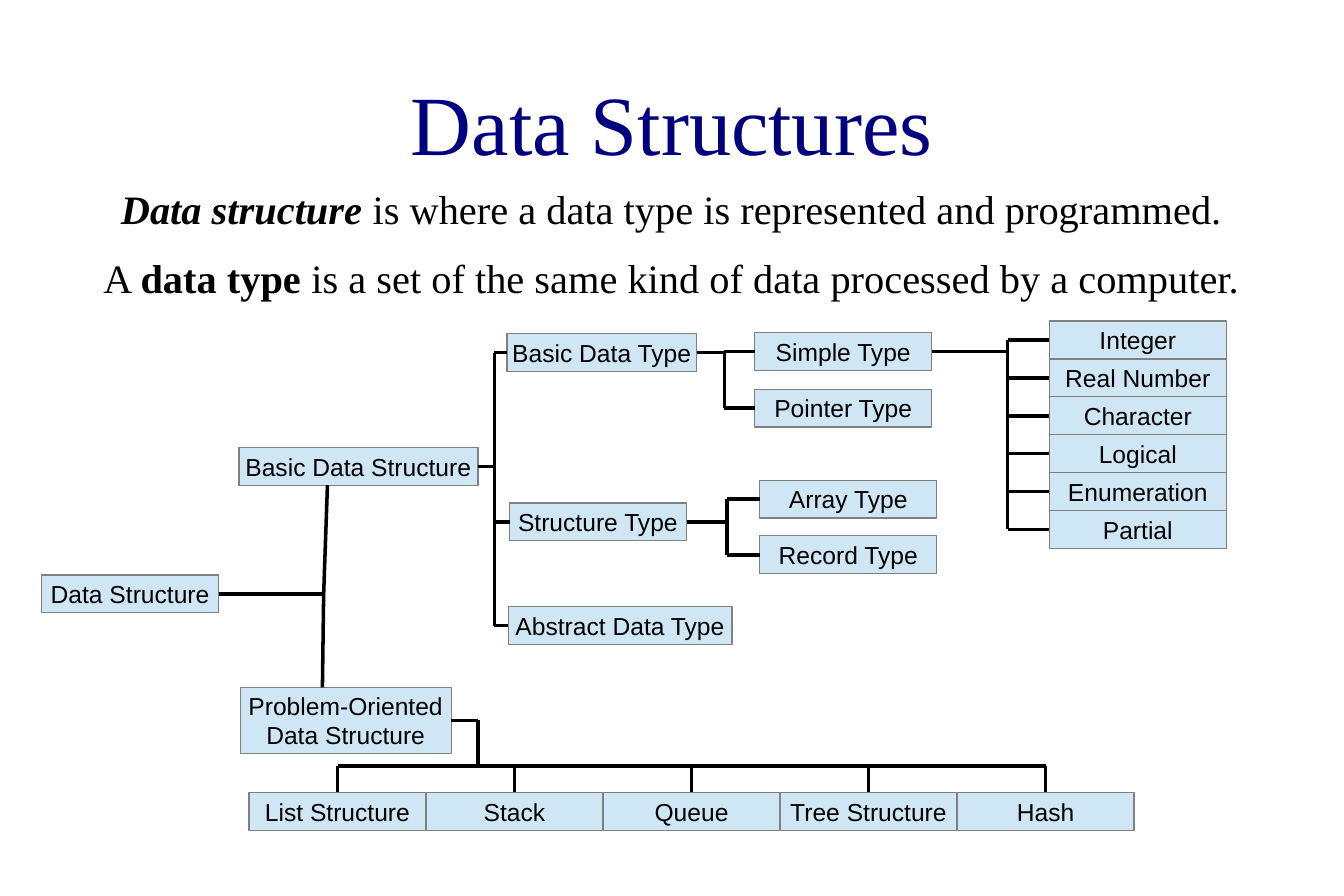
import dataclasses

import pptx
import pptx.dml.color
import pptx.enum.shapes
import pptx.enum.text
import pptx.oxml.ns
import pptx.util

UNIT = pptx.util.Inches(0.1)
SLIDE_W, SLIDE_H = 106.3, 70.9
ROW, LEAF = 3, 14
TOP, LEFT, BOTTOM, RIGHT = range(4)
RGB = pptx.dml.color.RGBColor.from_string


@dataclasses.dataclass(frozen=True)
class Theme:
    heading: str = "Times New Roman"
    label: str = "Arial"
    title_size: int = 48
    body_size: int = 23
    label_size: int = 14
    title_color: str = "000080"
    ink: str = "000000"
    node_fill: str = "CFE7F5"
    node_line: str = "808080"
    hairline: int = 0
    body_after: float = 10.4
    body_spacing: float = 1.05


THEME = Theme()


def grid(value):
    return round(value * UNIT)


def style(font, name, size, color):
    font.name = name
    font.size = pptx.util.Pt(size)
    font.color.rgb = RGB(color)


def add_text_box(slide, box):
    tf = slide.shapes.add_textbox(*map(grid, box)).text_frame
    tf.word_wrap = True
    tf.margin_left = tf.margin_right = tf.margin_top = tf.margin_bottom = 0
    return tf


def add_title(slide, box, text):
    tf = add_text_box(slide, box)
    tf.margin_top = grid(1)
    tf.vertical_anchor = pptx.enum.text.MSO_ANCHOR.MIDDLE
    p = tf.paragraphs[0]
    p.text = text
    p.alignment = pptx.enum.text.PP_ALIGN.CENTER
    style(p.runs[0].font, THEME.heading, THEME.title_size, THEME.title_color)


def add_definitions(slide, box, definitions):
    tf = add_text_box(slide, box)
    for i, runs in enumerate(definitions):
        p = tf.add_paragraph() if i else tf.paragraphs[0]
        p.alignment = pptx.enum.text.PP_ALIGN.CENTER
        p.space_after = pptx.util.Pt(THEME.body_after)
        p.line_spacing = THEME.body_spacing
        for text, bold, italic in runs:
            r = p.add_run()
            r.text = text
            style(r.font, THEME.heading, THEME.body_size, THEME.ink)
            r.font.bold, r.font.italic = bold, italic


def add_node(slide, x, y, text, w=LEAF, h=ROW):
    sp = slide.shapes.add_shape(pptx.enum.shapes.MSO_SHAPE.RECTANGLE,
                                *map(grid, (x, y, w, h)))
    sp.shadow.inherit = False
    sp.fill.solid()
    sp.fill.fore_color.rgb = RGB(THEME.node_fill)
    sp.line.color.rgb = RGB(THEME.node_line)
    sp.line.width = pptx.util.Pt(THEME.hairline)
    tf = sp.text_frame
    tf.text = text
    tf.word_wrap = False
    tf.vertical_anchor = pptx.enum.text.MSO_ANCHOR.MIDDLE
    for p in tf.paragraphs:
        p.alignment = pptx.enum.text.PP_ALIGN.CENTER
        style(p.runs[0].font, THEME.label, THEME.label_size, THEME.ink)
    return sp


def middle(sp, side):
    if side in (TOP, BOTTOM):
        return sp.left + sp.width // 2, sp.top + sp.height * (side == BOTTOM)
    return sp.left + sp.width * (side == RIGHT), sp.top + sp.height // 2


def add_line(slide, start, end, source=None, target=None):
    line = slide.shapes.add_connector(
        pptx.enum.shapes.MSO_CONNECTOR.STRAIGHT, *start, *end)
    line.line.color.rgb = RGB(THEME.ink)
    line.line.width = pptx.util.Pt(THEME.hairline)
    line._element.spPr.append(
        pptx.oxml.parse_xml('<a:effectLst %s/>' % pptx.oxml.ns.nsdecls("a")))
    if source is not None:
        line.begin_connect(source, RIGHT)
    if target is not None:
        line.end_connect(*target)


def add_branch(slide, parent, children, spine):
    start = middle(parent, RIGHT)
    ends = [middle(child, LEFT) for child in children]
    add_line(slide, start, (spine, start[1]), source=parent)
    add_line(slide, (spine, ends[0][1]), (spine, ends[-1][1]))
    for child, end in zip(children, ends):
        add_line(slide, (spine, end[1]), end, target=(child, LEFT))


def add_bus(slide, parent, children, turn, bus):
    start = middle(parent, RIGHT)
    ends = [middle(child, TOP) for child in children]
    add_line(slide, start, (turn, start[1]), source=parent)
    add_line(slide, (turn, start[1]), (turn, bus))
    add_line(slide, (ends[0][0], bus), (ends[-1][0], bus))
    for child, end in zip(children, ends):
        add_line(slide, (end[0], bus), end, target=(child, TOP))


def add_tree(slide, box):
    left, top = box

    def node(x, y, *args):
        return add_node(slide, left + x, top + y, *args)

    def at(x, y):
        return grid(left + x), grid(top + y)

    root = node(0, 20.1, "Data Structure")
    problem = node(15.7, 29, "Problem-Oriented\nData Structure", 16.7, 5.2)
    basic = node(15.6, 10, "Basic Data Structure", 18.9)
    basic_type = node(36.8, 1, "Basic Data Type", 15)
    structure_type = node(37, 14.4, "Structure Type")
    abstract_type = node(36.9, 22.6, "Abstract Data Type", 17.7)
    simple = node(56.4, 0.9, "Simple Type")
    pointer = node(56.4, 5.4, "Pointer Type")
    array = node(56.8, 12.6, "Array Type")
    record = node(56.8, 17, "Record Type")
    values = [node(79.7, i * ROW, text) for i, text in enumerate(
        ("Integer", "Real Number", "Character", "Logical", "Enumeration", "Partial"))]
    structures = [node(16.4 + i * LEAF, 37.3, text) for i, text in enumerate(
        ("List Structure", "Stack", "Queue", "Tree Structure", "Hash"))]

    fork = at(22.3, 21.6)
    add_line(slide, middle(root, RIGHT), fork, source=root)
    for end in (at(22.6, 13), at(22.2, 29)):
        add_line(slide, fork, end)
    for parent, children, spine in (
            (basic, (basic_type, structure_type, abstract_type), 35.8),
            (basic_type, (simple, pointer), 54),
            (structure_type, (array, record), 54.2),
            (simple, values, 76.4)):
        add_branch(slide, parent, children, at(spine, 0)[0])
    add_bus(slide, problem, structures, *at(34.5, 35.2))


def main():
    prs = pptx.Presentation()
    prs.slide_width, prs.slide_height = grid(SLIDE_W), grid(SLIDE_H)
    slide = prs.slides.add_slide(prs.slide_layouts[6])
    add_title(slide, (5.3, 3.2, 95.7, 11.8), "Data Structures")
    add_definitions(slide, (5.3, 14.4, 95.7, 9.1), (
        (("Data structure", True, True),
         (" is where a data type is represented and programmed.", False, False)),
        (("A ", False, False), ("data type", True, False),
         (" is a set of the same kind of data processed by a computer.", False, False))))
    add_tree(slide, (3.3, 25.4))
    prs.save("out.pptx")


if __name__ == "__main__":
    main()
